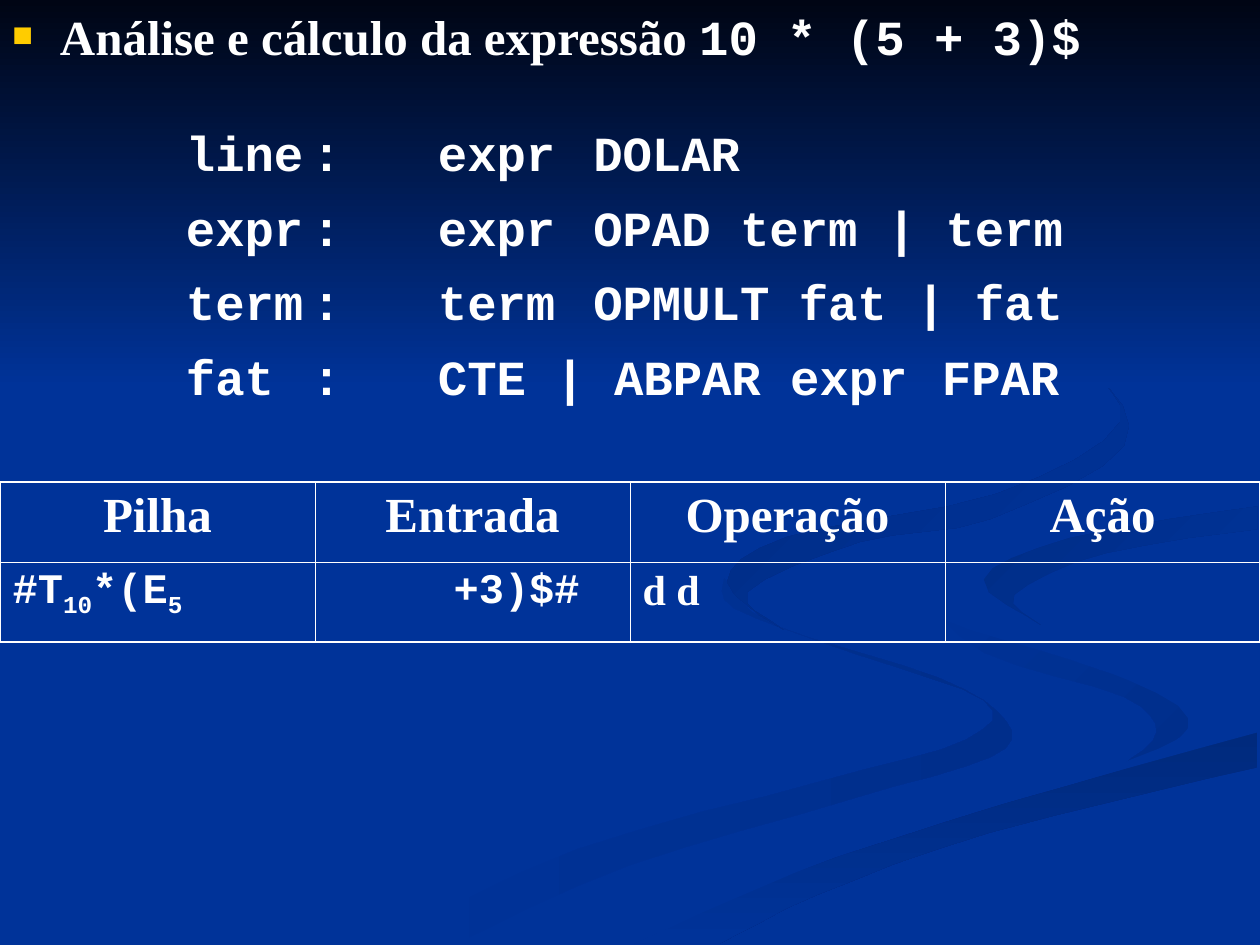
"""Builds the slide on parsing an arithmetic expression: grammar and stack table."""
import pptx
import pptx.dml.color
import pptx.enum.shapes
import pptx.enum.text
import pptx.oxml.ns
import pptx.util
from lxml import etree

Cm, Pt = pptx.util.Cm, pptx.util.Pt
ALIGN = pptx.enum.text.PP_ALIGN
WHITE, BLUE, SHADE = "FFFFFF", "003399", "002E8B"
SERIF, MONO = "Times New Roman", "Courier New"
W, H, MARGIN = 25.4, 19.05, 0.96
UNIT, STEPS = 0.0254, 4

TITLE = [("Análise e cálculo da expressão ", SERIF), ("10 * (5 + 3)$", MONO)]
GRAMMAR = [
    "\tline\t:\texpr\t DOLAR",
    "\texpr\t:\texpr\t OPAD term | term",
    "\tterm\t:\tterm\t OPMULT fat | fat",
    "\tfat\t:\tCTE | ABPAR expr\tFPAR",
]
TABS = [MARGIN + 2.54 * n for n in range(1, 8)]
HEADERS = ["Pilha", "Entrada", "Operação", "Ação"]
STACK_ROW = [
    (0, [("#T", MONO, 0), ("10", MONO, -25), ("*(E", MONO, 0), ("5", MONO, -25)]),
    (2.54, [("+3)$#", MONO, 0)]),
    (0, [("d d", SERIF, 0)]),
    (0, []),
]

RIBBONS = [
    ((BLUE, SHADE), 0,
     [(575, 459), (583, 483), (679, 519), (781, 556), (767, 587), (652, 620), (458, 674), (300, 749)],
     [(361, 749), (499, 687), (676, 634), (786, 601), (799, 573), (745, 538), (614, 496), (575, 459)]),
    ((BLUE, SHADE), 45,
     [(724, 464), (745, 490), (850, 524), (930, 553), (941, 581), (894, 605)],
     [(894, 605), (918, 581), (892, 553), (781, 518), (724, 464)]),
    (("002A7D", BLUE), 90,
     [(503, 749), (630, 693), (797, 638), (998, 581)],
     [(998, 609), (785, 661), (649, 710), (571, 749)]),
    ((BLUE,), 0,
     [(477, 749), (663, 668), (892, 605), (943, 570), (871, 530), (745, 490), (732, 446), (851, 411), (999, 387)],
     [(999, 402), (850, 427), (781, 463), (866, 509), (999, 538)],
     [(999, 581), (765, 647), (630, 693), (503, 749)]),
    (("002D86", BLUE), 45,
     [(826, 496), (781, 460), (849, 427), (998, 402)],
     [(998, 420), (878, 439), (805, 472), (826, 496)]),
    (("002B82", BLUE), 45,
     [(762, 233), (864, 291), (892, 354), (786, 412), (683, 430), (593, 470), (622, 500)],
     [(622, 500), (577, 462), (625, 426), (791, 392), (889, 335), (846, 279), (762, 233)]),
]


def rgb(c):
    return pptx.dml.color.RGBColor.from_string(c)


def sub(parent, tag, **attrs):
    return etree.SubElement(parent, pptx.oxml.ns.qn(tag), attrs)


def smooth(side):
    """Returns the side as a dense Catmull-Rom curve."""
    ends = [side[0]] + side + [side[-1]]
    curve = []
    for a, b, c, d in zip(ends, ends[1:], ends[2:], ends[3:]):
        for t in (n / STEPS for n in range(STEPS)):
            curve.append(tuple(
                q + t * (r - p + t * (2 * p - 5 * q + 4 * r - u + t * (3 * q - p - 3 * r + u))) / 2
                for p, q, r, u in zip(a, b, c, d)))
    return curve + [side[-1]]


def paint(sp, colors, angle):
    sp.shadow.inherit = False
    sp.line.fill.background()
    if len(colors) == 1:
        sp.fill.solid()
        sp.fill.fore_color.rgb = rgb(colors[0])
        return
    sp.fill.gradient()
    sp.fill.gradient_angle = (360 - angle) % 360
    for stop, c in zip(sp.fill.gradient_stops, colors):
        stop.color.rgb = rgb(c)


def add_run(p, text, font, size, base=0):
    r = p.add_run()
    r.text = text
    for name, value in {"name": font, "size": Pt(size), "bold": True}.items():
        setattr(r.font, name, value)
    r.font.color.rgb = rgb(WHITE)
    if base:
        r.font._element.set("baseline", str(base * 1000))


def set_borders(cell, row, col):
    tcPr = cell._tc.get_or_add_tcPr()
    outer = {"a:lnL": col == 0, "a:lnR": col == 3, "a:lnT": row == 0, "a:lnB": row == 1}
    for i, (tag, edge) in enumerate(outer.items()):
        ln = etree.Element(pptx.oxml.ns.qn(tag), w=str(Pt(1.08 if edge else 0.45)))
        sub(sub(ln, "a:solidFill"), "a:srgbClr", val=WHITE)
        tcPr.insert(i, ln)


def add_background(s):
    s.background.fill.solid()
    s.background.fill.fore_color.rgb = rgb(BLUE)
    for colors, angle, *sides in RIBBONS:
        points = [point for side in sides for point in smooth(side)]
        fb = s.shapes.build_freeform(*points[0], scale=Cm(UNIT))
        fb.add_line_segments(points[1:], close=True)
        paint(fb.convert_to_shape(), colors, angle)
    sky = s.shapes.add_shape(pptx.enum.shapes.MSO_SHAPE.RECTANGLE, 0, 0, Cm(W), Cm(7.82))
    paint(sky, ("000514", BLUE), 90)


def add_table(s):
    tbl = s.shapes.add_table(2, 4, 0, Cm(9.72), Cm(W), Cm(3.22)).table
    for name in ("first_row", "horz_banding"):
        setattr(tbl, name, False)
    header = [(0, [(text, SERIF, 0)]) for text in HEADERS]
    for row, cells in enumerate((header, STACK_ROW)):
        for col, (indent, runs) in enumerate(cells):
            cell = tbl.cell(row, col)
            cell.fill.background()
            set_borders(cell, row, col)
            p = cell.text_frame.paragraphs[0]
            p.alignment = ALIGN.LEFT if row else ALIGN.CENTER
            if indent:
                p._p.get_or_add_pPr().set("marL", str(Cm(indent)))
            for text, font, base in runs:
                add_run(p, text, font, 24 if row else 28, base)


def add_grammar(s):
    tf = s.shapes.add_textbox(0, 0, Cm(W), Cm(9.52)).text_frame
    tf.word_wrap = True
    p = tf.paragraphs[0]
    p.space_before = Pt(7)
    pPr = p._p.get_or_add_pPr()
    pPr.set("marL", str(Cm(MARGIN)))
    pPr.set("indent", str(-Cm(MARGIN)))
    sub(sub(pPr, "a:buClr"), "a:srgbClr", val="FFCC00")
    sub(pPr, "a:buSzPct", val="70000")
    sub(pPr, "a:buFont", typeface=SERIF)
    sub(pPr, "a:buChar", char="■")
    for text, font in TITLE:
        add_run(p, text, font, 28)
    for i, rule in enumerate(GRAMMAR):
        p = tf.add_paragraph()
        p.space_before = Pt(9 if i else 33)
        tabs = sub(p._p.get_or_add_pPr(), "a:tabLst")
        for pos in TABS:
            sub(tabs, "a:tab", pos=str(Cm(pos)), algn="l")
        add_run(p, rule, MONO, 28)


def main():
    prs = pptx.Presentation()
    prs.slide_width, prs.slide_height = Cm(W), Cm(H)
    s = prs.slides.add_slide(prs.slide_layouts[6])
    add_background(s)
    add_table(s)
    add_grammar(s)
    prs.save("out.pptx")


if __name__ == "__main__":
    main()
